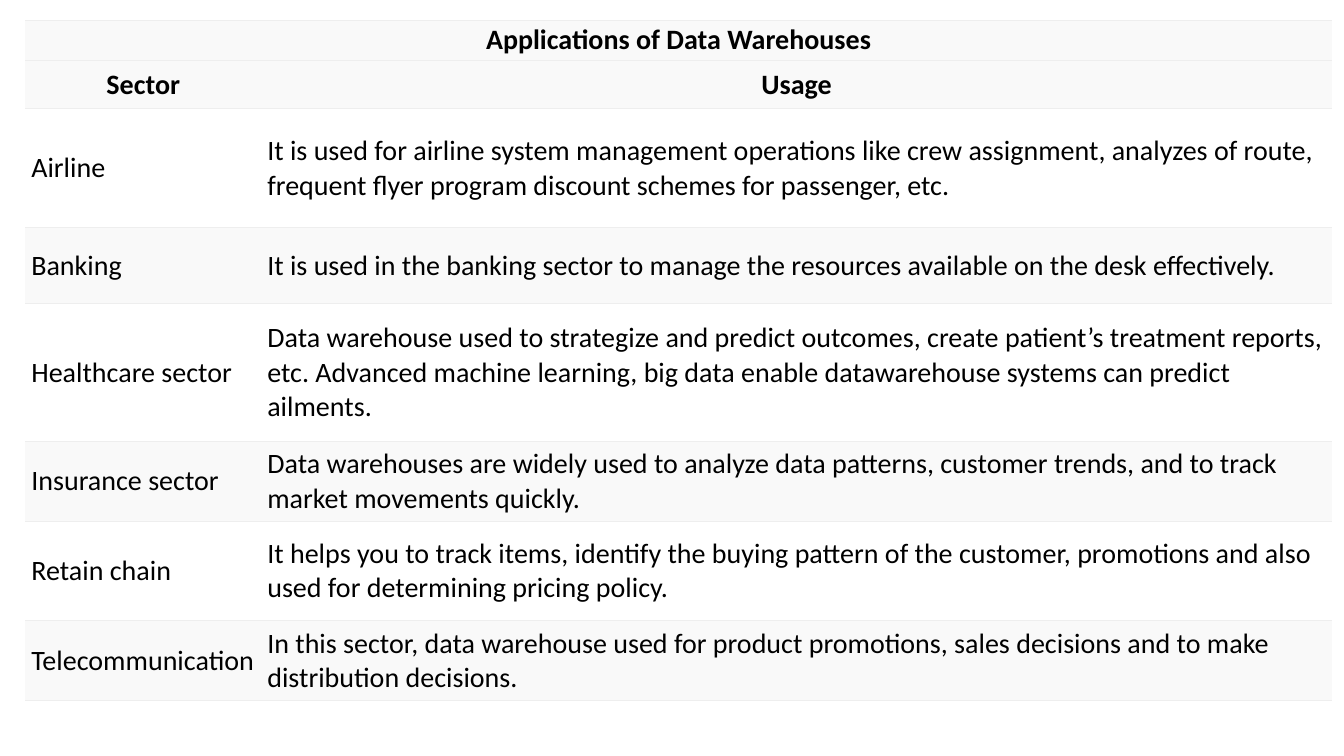
import dataclasses

import lxml.etree
import pptx
import pptx.dml.color
import pptx.enum.text
import pptx.oxml.ns
import pptx.util


@dataclasses.dataclass(frozen=True)
class Theme:
    font: str = "Calibri"
    size: int = 20
    ink: str = "000000"
    shaded: str = "F9F9F9"
    plain: str = "FFFFFF"
    rule: str = "EEEEEE"
    rule_width: float = 0.75
    side_margin: float = 0.45
    end_margin: float = 0.4


TITLE = "Applications of Data Warehouses"
HEADINGS = ("Sector", "Usage")
SECTORS = [
    ("Airline", "It is used for airline system management operations like crew assignment, analyzes of route, "
                "frequent flyer program discount schemes for passenger, etc."),
    ("Banking", "It is used in the banking sector to manage the resources available on the desk effectively."),
    ("Healthcare sector", "Data warehouse used to strategize and predict outcomes, create patient’s treatment "
                          "reports, etc. Advanced machine learning, big data enable datawarehouse systems can "
                          "predict ailments."),
    ("Insurance sector", "Data warehouses are widely used to analyze data patterns, customer trends, and to track "
                         "market movements quickly."),
    ("Retain chain", "It helps you to track items, identify the buying pattern of the customer, promotions and also "
                     "used for determining pricing policy."),
    ("Telecommunication", "In this sector, data warehouse used for product promotions, sales decisions and to make "
                          "distribution decisions."),
]
COLUMN_SHARES = (17.56, 79.67)
ROW_SHARES = (4.8, 6.4, 15.73, 10, 18.27, 10.53, 13.2, 10.53)
HEADER_ROWS = 2


def write(frame, text, *, font, size, color, bold=False, align=pptx.enum.text.PP_ALIGN.LEFT):
    para = frame.paragraphs[0]
    para.alignment = align
    span = para.add_run()
    span.text = text
    span.font.name = font
    span.font.size = pptx.util.Pt(size)
    span.font.bold = bold
    span.font.color.rgb = pptx.dml.color.RGBColor.from_string(color)


class SlideBuilder:
    def __init__(self, deck, theme):
        self.deck = deck
        self.theme = theme
        self.page = deck.slides.add_slide(deck.slide_layouts[6])

    def across(self, share):
        return round(self.deck.slide_width * share / 100)

    def down(self, share):
        return round(self.deck.slide_height * share / 100)

    def table(self, left, top, columns, rows):
        frame = self.page.shapes.add_table(
            len(rows), len(columns), self.across(left), self.down(top),
            self.across(sum(columns)), self.down(sum(rows)))
        table = frame.table
        table.first_row = False
        table.horz_banding = False
        for column, share in zip(table.columns, columns):
            column.width = self.across(share)
        for row, share in zip(table.rows, rows):
            row.height = self.down(share)
        return table

    def borders(self, cell):
        qualified = pptx.oxml.ns.qn
        properties = cell._tc.get_or_add_tcPr()
        for side in ("lnL", "lnR", "lnT", "lnB"):
            line = lxml.etree.SubElement(properties, qualified(f"a:{side}"))
            if side in ("lnL", "lnR"):
                lxml.etree.SubElement(line, qualified("a:noFill"))
                continue
            line.set("w", str(pptx.util.Pt(self.theme.rule_width)))
            fill = lxml.etree.SubElement(line, qualified("a:solidFill"))
            lxml.etree.SubElement(fill, qualified("a:srgbClr"), val=self.theme.rule)

    def cell(self, cell, text, fill, heading):
        theme = self.theme
        self.borders(cell)
        cell.fill.solid()
        cell.fill.fore_color.rgb = pptx.dml.color.RGBColor.from_string(fill)
        cell.vertical_anchor = pptx.enum.text.MSO_ANCHOR.MIDDLE
        cell.margin_left = cell.margin_right = self.across(theme.side_margin)
        cell.margin_top = cell.margin_bottom = self.down(theme.end_margin)
        if text:
            alignment = pptx.enum.text.PP_ALIGN
            write(cell.text_frame, text, font=theme.font, size=theme.size, color=theme.ink,
                  bold=heading, align=alignment.CENTER if heading else alignment.LEFT)


def main():
    deck = pptx.Presentation()
    deck.slide_width = pptx.util.Inches(13.33)
    deck.slide_height = pptx.util.Inches(7.5)
    theme = Theme()
    builder = SlideBuilder(deck, theme)
    table = builder.table(1.88, 2.67, COLUMN_SHARES, ROW_SHARES)
    table.cell(0, 0).merge(table.cell(0, 1))
    for row, texts in enumerate([(TITLE, ""), HEADINGS, *SECTORS]):
        heading = row < HEADER_ROWS
        fill = theme.shaded if heading or row % 2 else theme.plain
        for column, text in enumerate(texts):
            builder.cell(table.cell(row, column), text, fill, heading)
    deck.save("out.pptx")


if __name__ == "__main__":
    main()
